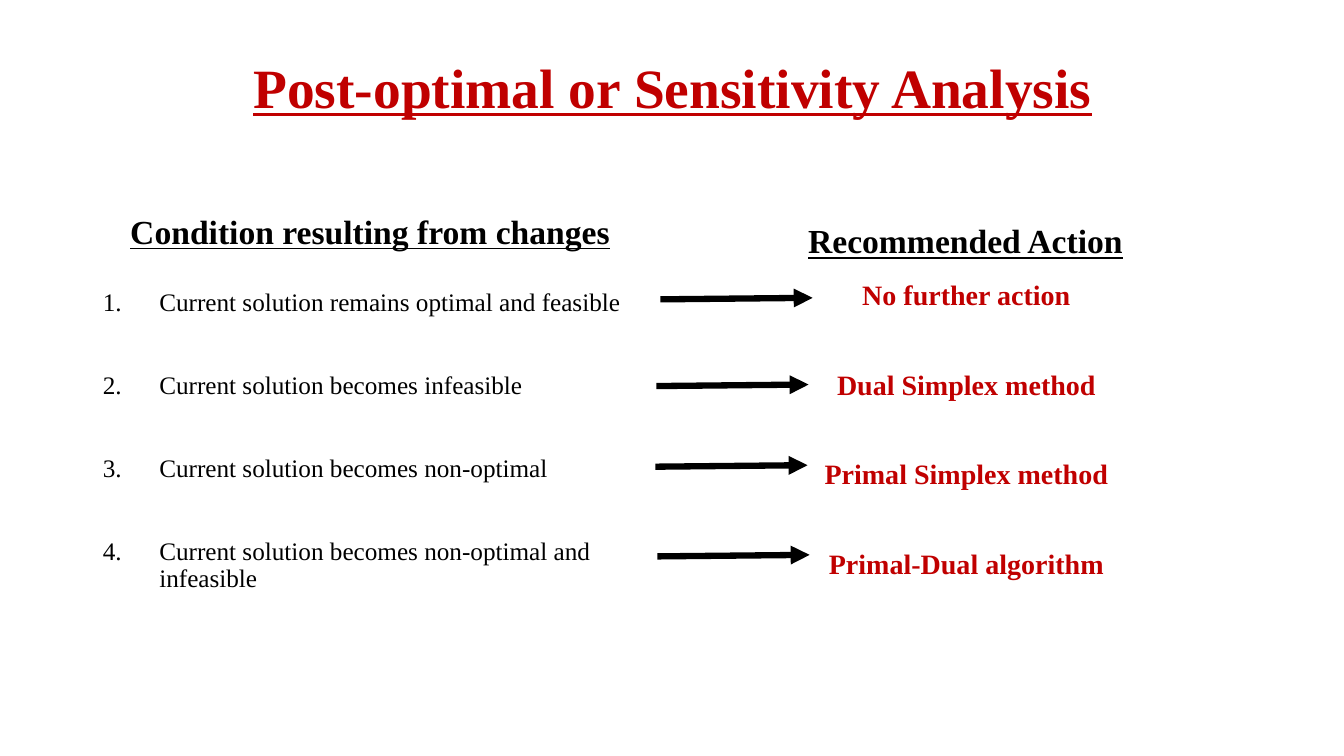
from lxml import etree
from pptx import Presentation
from pptx.dml.color import RGBColor
from pptx.enum.shapes import MSO_CONNECTOR
from pptx.enum.text import MSO_ANCHOR, MSO_AUTO_SIZE, PP_ALIGN
from pptx.oxml.ns import qn
from pptx.util import Inches, Pt

TOP, BOTTOM = MSO_ANCHOR.TOP, MSO_ANCHOR.BOTTOM
LEFT, CENTER = PP_ALIGN.LEFT, PP_ALIGN.CENTER
NO_AUTOFIT = MSO_AUTO_SIZE.NONE
STRAIGHT = MSO_CONNECTOR.STRAIGHT

FONT = "Times New Roman"
RED, BLACK = "C00000", "000000"
COMPARISON_LAYOUT = 4
NUMBER_INDENT = 0.56

TITLE = "Post-optimal or Sensitivity Analysis"
CONDITION_HEADING = "Condition resulting from changes"
ACTION_HEADING = "Recommended Action"
CONDITIONS = [
    "Current solution remains optimal and feasible",
    "Current solution becomes infeasible",
    "Current solution becomes non-optimal",
    "Current solution becomes non-optimal and infeasible",
]
ACTIONS = [
    "No further action",
    "Dual Simplex method",
    "Primal Simplex method",
    "Primal-Dual algorithm",
]

# Start of each arrow, in inches; all share one length and a slight rise
ARROW_STARTS = [(6.55, 2.97), (6.51, 3.83), (6.5, 4.63), (6.52, 5.52)]
ARROW_LENGTH, ARROW_RISE = 1.51, 0.015


def color(hex_string):
    return RGBColor.from_string(hex_string)


def set_bullet(paragraph, numbered):
    properties = paragraph._p.get_or_add_pPr()
    indent = Inches(NUMBER_INDENT) if numbered else 0
    properties.set("marL", str(indent))
    properties.set("indent", str(-indent))
    if numbered:
        number = etree.SubElement(properties, qn("a:buAutoNum"))
        number.set("type", "arabicPeriod")
    else:
        etree.SubElement(properties, qn("a:buNone"))


def fill_placeholder(placeholder, box, lines, size, hex_string, anchor=TOP,
                     heading=False, bold=True, numbered=False, gap=0,
                     top_inset=0.05, right_inset=0.1, bottom_inset=0.05):
    """Place a placeholder and write one paragraph per line, gap in points."""
    (placeholder.left, placeholder.top,
     placeholder.width, placeholder.height) = map(Inches, box)
    frame = placeholder.text_frame
    frame.word_wrap = True
    frame.auto_size = NO_AUTOFIT
    frame.vertical_anchor = anchor
    frame.margin_left = Inches(0.1)
    frame.margin_right = Inches(right_inset)
    frame.margin_top = Inches(top_inset)
    frame.margin_bottom = Inches(bottom_inset)
    for index, line in enumerate(lines):
        paragraph = frame.paragraphs[0] if index == 0 else frame.add_paragraph()
        set_bullet(paragraph, numbered)
        paragraph.alignment = LEFT if numbered else CENTER
        paragraph.line_spacing = 0.9
        paragraph.space_before = Pt(gap if index else 0)
        paragraph.space_after = Pt(0)
        run = paragraph.add_run()
        run.text = line
        font = run.font
        font.name = FONT
        font.size = Pt(size)
        font.bold = bold
        font.underline = heading
        font.color.rgb = color(hex_string)


def add_arrow(slide, x, y):
    arrow = slide.shapes.add_connector(
        STRAIGHT, Inches(x), Inches(y),
        Inches(x + ARROW_LENGTH), Inches(y - ARROW_RISE))
    arrow.line.color.rgb = color(BLACK)
    arrow.line.width = Pt(4.5)
    head = etree.SubElement(arrow.line._get_or_add_ln(), qn("a:tailEnd"))
    head.set("type", "triangle")
    etree.SubElement(arrow._element.spPr, qn("a:effectLst"))


def main():
    presentation = Presentation()
    presentation.slide_width = Inches(13.33)
    presentation.slide_height = Inches(7.5)
    slide = presentation.slides.add_slide(
        presentation.slide_layouts[COMPARISON_LAYOUT])
    title, condition_heading, conditions, action_heading, actions = slide.placeholders

    fill_placeholder(title, (0.92, 0.4, 11.5, 1.45), [TITLE], 39.6, RED,
                     heading=True, top_inset=0.2)
    fill_placeholder(condition_heading, (0.97, 1.65, 5.64, 0.9),
                     [CONDITION_HEADING], 24, BLACK, anchor=BOTTOM,
                     heading=True, right_inset=0.34)
    fill_placeholder(conditions, (0.92, 2.82, 5.64, 4.03), CONDITIONS, 18, BLACK,
                     bold=False, numbered=True, gap=40)
    fill_placeholder(action_heading, (6.74, 1.96, 5.67, 0.74),
                     [ACTION_HEADING], 24, BLACK, anchor=BOTTOM,
                     heading=True, bottom_inset=0.11)
    fill_placeholder(actions, (6.75, 2.74, 5.67, 4.03), ACTIONS, 20, RED, gap=42.5)

    for x, y in ARROW_STARTS:
        add_arrow(slide, x, y)
    presentation.save("out.pptx")


if __name__ == "__main__":
    main()
